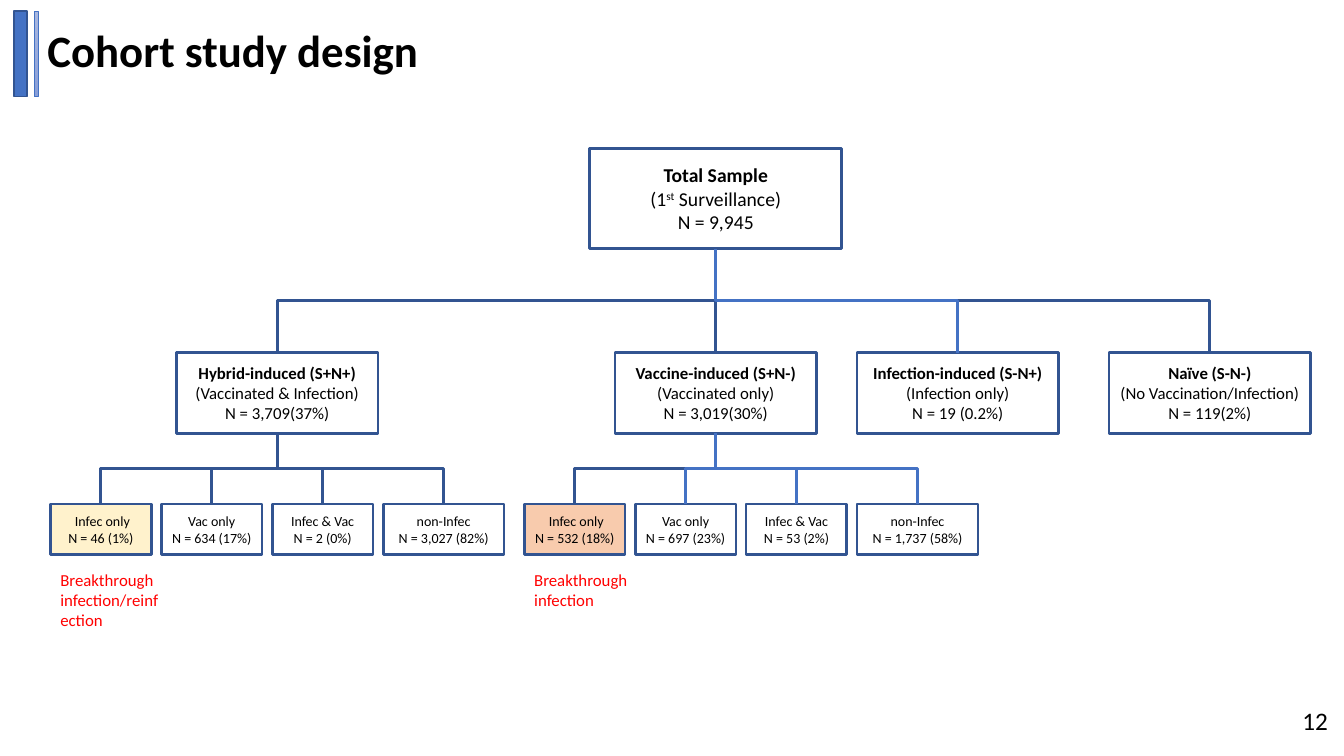
from dataclasses import dataclass
from typing import Optional

from lxml.etree import SubElement
from pptx import Presentation
from pptx.dml.color import RGBColor
from pptx.enum.shapes import MSO_CONNECTOR, MSO_SHAPE
from pptx.enum.text import MSO_ANCHOR, MSO_AUTO_SIZE, PP_ALIGN
from pptx.oxml.ns import qn
from pptx.shapes.autoshape import Shape
from pptx.slide import Slide
from pptx.util import Inches, Pt

FONT = "Calibri"
COLORS = {
    "navy": "325491",
    "blue": "4472C4",
    "black": "000000",
    "red": "FF0000",
    "yellow": "FFF2CC",
    "orange": "F8CBAD",
    "pale": "A8B7DF",
    "periwinkle": "889ED7",
}
BOTTOM_SITE, TOP_SITE = 2, 0


@dataclass
class Box:
    left: float
    top: float
    width: float
    height: float
    lines: list[str]
    size: int
    bold_heading: bool = True
    fill: Optional[str] = None
    link: str = "navy"

    @property
    def center(self) -> float:
        return self.left + self.width / 2

    @property
    def bottom(self) -> float:
        return self.top + self.height


def color(name: str) -> RGBColor:
    return RGBColor.from_string(COLORS[name])


def group_box(left: float, lines: list[str], link: str = "navy") -> Box:
    return Box(left, 3.5, 2, 0.8, lines, 12, link=link)


def outcome_boxes(left: float, counts: list[str], fill: str, link: str) -> list[Box]:
    """Four outcomes in a row; the first is highlighted, the last is wider."""
    labels = [" Infec only", "Vac only", "Infec & Vac", "non-Infec"]
    return [
        Box(left + 1.1 * index, 5, 1.2 if index == 3 else 1, 0.5,
            [label, f"N = {count}"], 10, False,
            None if index else fill, link if index else "navy")
        for index, (label, count) in enumerate(zip(labels, counts))
    ]


def add_rectangle(slide: Slide, left: float, top: float, width: float,
                  height: float, line: str, line_width: float) -> Shape:
    shape = slide.shapes.add_shape(MSO_SHAPE.RECTANGLE, Inches(left), Inches(top),
                                   Inches(width), Inches(height))
    shape.shadow.inherit = False
    shape.line.color.rgb = color(line)
    shape.line.width = Pt(line_width)
    return shape


def format_font(paragraph, size: int, color_name: str = "black", bold: bool = False) -> None:
    font = paragraph.font
    font.name, font.size, font.bold = FONT, Pt(size), bold
    font.color.rgb = color(color_name)


def add_box(slide: Slide, box: Box) -> Shape:
    shape = add_rectangle(slide, box.left, box.top, box.width, box.height, "navy", 2)
    if box.fill:
        shape.fill.solid()
        shape.fill.fore_color.rgb = color(box.fill)
    else:
        shape.fill.background()
    frame = shape.text_frame
    frame.word_wrap = True
    frame.vertical_anchor = MSO_ANCHOR.MIDDLE
    for index, line in enumerate(box.lines):
        paragraph = frame.paragraphs[0] if index == 0 else frame.add_paragraph()
        paragraph.alignment = PP_ALIGN.CENTER
        format_font(paragraph, box.size, bold=box.bold_heading and index == 0)
        # Text between carets is superscript
        for part, text in enumerate(line.split("^")):
            run = paragraph.add_run()
            run.text = text
            if part % 2:
                run._r.get_or_add_rPr().set("baseline", "30000")
    return shape


def add_link(slide: Slide, parent: Box, child: Box,
             parent_shape: Shape, child_shape: Shape) -> None:
    """Elbow that leaves the parent downwards: a quarter turn of the default one."""
    drop, shift = child.top - parent.bottom, child.center - parent.center
    connector = slide.shapes.add_connector(MSO_CONNECTOR.ELBOW, 0, 0, 0, 0)
    connector.begin_connect(parent_shape, BOTTOM_SITE)
    connector.end_connect(child_shape, TOP_SITE)
    connector.left = Inches((parent.center + child.center - drop) / 2)
    connector.top = Inches((parent.bottom + child.top - abs(shift)) / 2)
    connector.width, connector.height = Inches(drop), Inches(abs(shift))
    transform = connector._element.spPr.find(qn("a:xfrm"))
    transform.set("rot", "16200000" if shift > 0 else "5400000")
    transform.set("flipH", "1" if shift > 0 else "0")
    transform.set("flipV", "0")
    connector.line.color.rgb = color(child.link)
    connector.line.width = Pt(2)
    SubElement(connector._element.spPr, qn("a:effectLst"))


def add_branch(slide: Slide, parent: Box, parent_shape: Shape,
               children: list[Box]) -> list[Shape]:
    shapes = [add_box(slide, child) for child in children]
    for child, shape in zip(children, shapes):
        add_link(slide, parent, child, parent_shape, shape)
    return shapes


def add_text(slide: Slide, left: float, top: float, width: float, height: float,
             text: str, size: int, color_name: str, wrap: bool = True) -> None:
    frame = slide.shapes.add_textbox(Inches(left), Inches(top), Inches(width),
                                     Inches(height)).text_frame
    frame.word_wrap = wrap
    frame.auto_size = MSO_AUTO_SIZE.SHAPE_TO_FIT_TEXT
    frame.text = text
    format_font(frame.paragraphs[0], size, color_name)


def add_title(slide: Slide) -> None:
    title = slide.shapes.title
    title.left, title.top = Inches(0.37), Inches(0.13)
    title.width, title.height = Inches(4.22), Inches(0.8)
    frame = title.text_frame
    frame.text = "Cohort study design"
    frame.auto_size = MSO_AUTO_SIZE.NONE
    frame.vertical_anchor = MSO_ANCHOR.MIDDLE
    paragraph = frame.paragraphs[0]
    paragraph.alignment = PP_ALIGN.LEFT
    paragraph.line_spacing = 0.9
    format_font(paragraph, 32, bold=True)

    # Accent bars beside the title
    wide_bar = add_rectangle(slide, 0.14, 0.11, 0.13, 0.85, "navy", 1)
    wide_bar.fill.solid()
    wide_bar.fill.fore_color.rgb = color("blue")
    thin_bar = add_rectangle(slide, 0.34, 0.11, 0.04, 0.85, "blue", 0.5)
    thin_bar.fill.gradient()
    thin_bar.fill.gradient_angle = 270
    for stop, name in zip(thin_bar.fill.gradient_stops, ("pale", "periwinkle")):
        stop.color.rgb = color(name)


def main() -> None:
    presentation = Presentation()
    presentation.slide_width, presentation.slide_height = Inches(13.33), Inches(7.5)
    slide = presentation.slides.add_slide(presentation.slide_layouts[5])
    add_title(slide)

    # Total sample and immunity groups
    total = Box(5.85, 1.47, 2.5, 1,
                ["Total Sample", "(1^st^ Surveillance)", "N = 9,945"], 14)
    hybrid = group_box(1.75, ["Hybrid-induced (S+N+)", "(Vaccinated & Infection)",
                              "N = 3,709(37%)"])
    vaccine = group_box(6.1, ["Vaccine-induced (S+N-)", "(Vaccinated only)",
                              "N = 3,019(30%)"])
    naive = group_box(11, ["Naïve (S-N-)", "(No Vaccination/Infection)", "N = 119(2%)"])
    infection = group_box(8.5, ["Infection-induced (S-N+)", "(Infection only)",
                                "N = 19 (0.2%)"], "blue")
    hybrid_shape, vaccine_shape, *_ = add_branch(
        slide, total, add_box(slide, total), [hybrid, vaccine, naive, infection])

    # Outcomes under the two vaccinated groups
    add_branch(slide, hybrid, hybrid_shape, outcome_boxes(
        0.5, ["46 (1%)", "634 (17%)", "2 (0%)", "3,027 (82%)"], "yellow", "navy"))
    add_branch(slide, vaccine, vaccine_shape, outcome_boxes(
        5.2, ["532 (18%)", "697 (23%)", "53 (2%)", "1,737 (58%)"], "orange", "blue"))

    # Breakthrough notes and page number
    add_text(slide, 0.5, 5.6, 1.2, 0.91, "Breakthrough infection/reinfection", 12, "red")
    add_text(slide, 5.2, 5.6, 1.2, 0.5, "Breakthrough infection", 12, "red")
    add_text(slide, 12.82, 6.95, 0.46, 0.4, "12", 18, "black", wrap=False)
    presentation.save("out.pptx")


if __name__ == "__main__":
    main()
